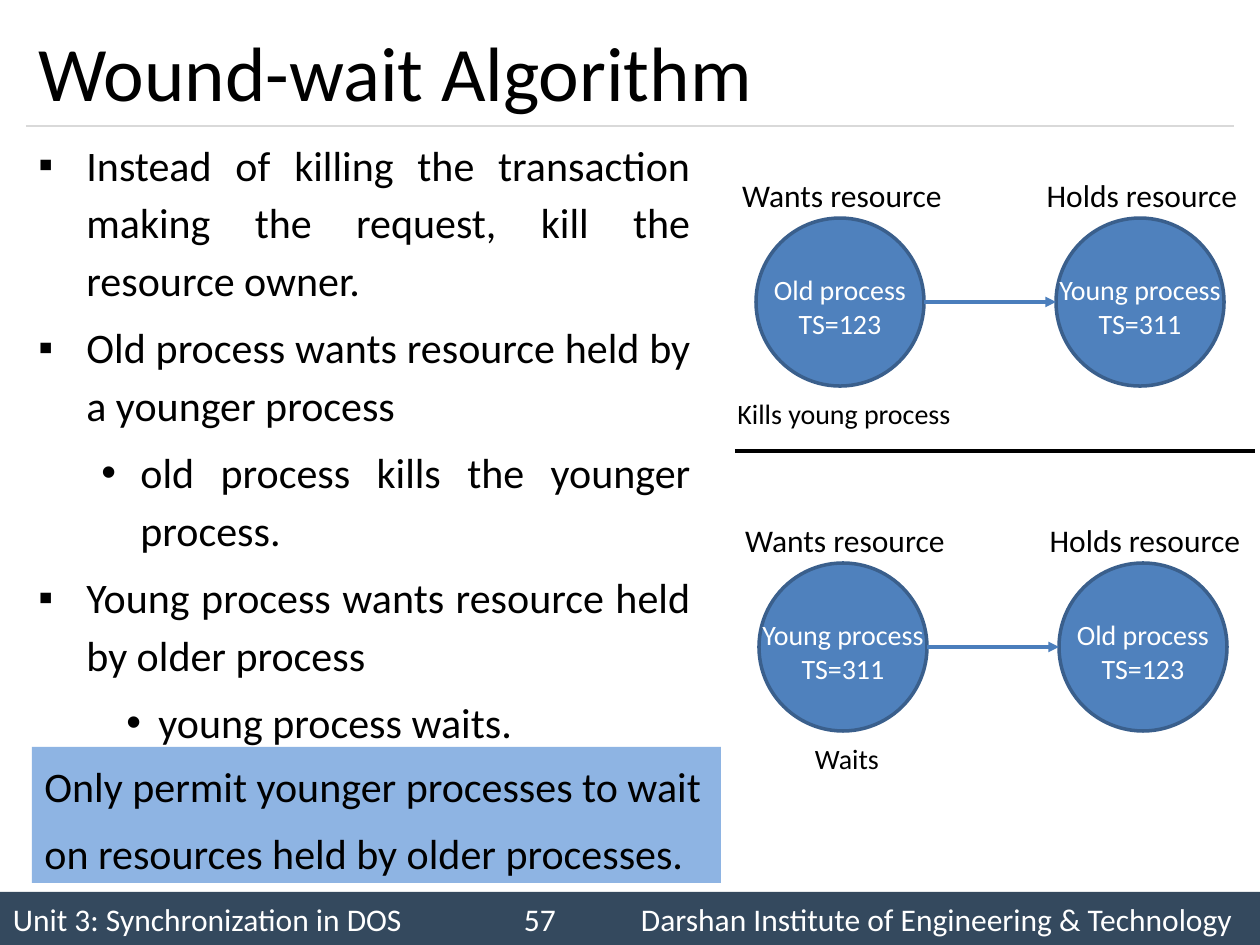
from dataclasses import dataclass

from lxml.etree import SubElement
from pptx import Presentation
from pptx.dml.color import RGBColor
from pptx.enum.shapes import MSO_CONNECTOR, MSO_SHAPE
from pptx.enum.text import MSO_ANCHOR, PP_ALIGN
from pptx.oxml.ns import qn
from pptx.util import Emu, Pt


@dataclass(frozen=True)
class Theme:
    """Colours, font and type sizes of the slide."""
    font: str = "Calibri"
    ink: str = "000000"
    paper: str = "FFFFFF"
    rule: str = "D9D9D9"
    footer: str = "34495E"
    highlight: str = "8EB4E3"
    circle: str = "4F81BD"
    outline: str = "3A5F8C"
    arrow: str = "4B7EBC"
    title_size: int = 44
    body_size: int = 24
    label_size: int = 18
    small_size: int = 16


THEME = Theme()
INSET = 13
POINTS = [
    ("point", "Instead of killing the transaction making the request, kill the resource owner."),
    ("point", "Old process wants resource held by a younger process"),
    ("result", "old process kills the younger process."),
    ("point", "Young process wants resource held by older process"),
    ("outcome", "young process waits."),
]
BULLETS = {"point": ("▪", 48, 48, 0), "result": ("•", 102, 39, 1), "outcome": ("•", 120, 32, 2)}
OLD = ["Old process", "TS=123"]
YOUNG = ["Young process", "TS=311"]


def px(length):
    """Turn pixels into EMU."""
    return Emu(round(length * 914400 / 126))


def colour(code):
    """Turn a hex code into a colour."""
    return RGBColor.from_string(code)


def style(para, size, code=THEME.ink, align=PP_ALIGN.LEFT):
    """Set the font and alignment of a paragraph."""
    para.alignment = align
    para.font.name = THEME.font
    para.font.size = Pt(size)
    para.font.color.rgb = colour(code)


def fill_frame(frame, lines, size, code=THEME.ink, align=PP_ALIGN.LEFT):
    """Write one styled paragraph for each line."""
    for index, line in enumerate(lines):
        para = frame.add_paragraph() if index else frame.paragraphs[0]
        para.text = line
        style(para, size, code, align)


def space(frame):
    """Give running text its line and paragraph spacing."""
    for index, para in enumerate(frame.paragraphs):
        para.line_spacing = 1.14
        para.space_before = Pt(5.8 if index else 0)


def add_shape(page, kind, box, fill, line=None):
    """Add a flat preset shape."""
    shape = page.shapes.add_shape(kind, *map(px, box))
    shape.shadow.inherit = False
    shape.fill.solid()
    shape.fill.fore_color.rgb = colour(fill)
    if line:
        shape.line.color.rgb = colour(line)
        shape.line.width = Pt(2)
    else:
        shape.line.fill.background()
    return shape


def add_line(page, left, right, top, code, width, arrow=False):
    """Add a horizontal line, with an arrowhead if asked."""
    line = page.shapes.add_connector(
        MSO_CONNECTOR.STRAIGHT, px(left), px(top), px(right), px(top))
    line.line.color.rgb = colour(code)
    line.line.width = Pt(width)
    if arrow:
        SubElement(line.line._get_or_add_ln(), qn("a:tailEnd"), type="triangle")
    SubElement(line._element.spPr, qn("a:effectLst"))


def add_label(page, centre, top, text, size):
    """Add a one-line label centred on a point."""
    width = 240
    label = page.shapes.add_textbox(px(centre - width / 2), px(top), px(width), px(50))
    label.text_frame.word_wrap = True
    fill_frame(label.text_frame, [text], size, align=PP_ALIGN.CENTER)


def add_title(page, box, text):
    """Place the title and the rule under it."""
    left, top, width, height = box
    title = page.shapes.title
    title.left, title.top, title.width, title.height = map(px, box)
    title.text_frame.vertical_anchor = MSO_ANCHOR.MIDDLE
    fill_frame(title.text_frame, [text], THEME.title_size)
    add_line(page, left, left + width, top + height, THEME.rule, 0.75)


def add_points(page, box):
    """Place the bulleted explanation."""
    frame = page.shapes.add_textbox(*map(px, box)).text_frame
    frame.word_wrap = True
    for index, (kind, text) in enumerate(POINTS):
        mark, margin, hanging, level = BULLETS[kind]
        para = frame.add_paragraph() if index else frame.paragraphs[0]
        para.text = text
        para.level = level
        properties = para._p.get_or_add_pPr()
        properties.set("marL", str(px(margin)))
        properties.set("indent", str(-px(hanging)))
        SubElement(properties, qn("a:buFont"), typeface="Arial")
        SubElement(properties, qn("a:buChar"), char=mark)
        style(para, THEME.body_size, align=PP_ALIGN.JUSTIFY)
    space(frame)


def add_rule_box(page, box, lines):
    """Place the highlighted conclusion."""
    frame = add_shape(page, MSO_SHAPE.RECTANGLE, box, THEME.highlight).text_frame
    frame.word_wrap = True
    frame.vertical_anchor = MSO_ANCHOR.TOP
    fill_frame(frame, lines, THEME.body_size, align=PP_ALIGN.JUSTIFY)
    space(frame)


def add_process(page, box, lines, role):
    """Place a process circle with its role above."""
    left, top, size, _ = box
    frame = add_shape(page, MSO_SHAPE.OVAL, box, THEME.circle, THEME.outline).text_frame
    frame.word_wrap = False
    frame.vertical_anchor = MSO_ANCHOR.MIDDLE
    frame.margin_left = frame.margin_right = frame.margin_bottom = 0
    frame.margin_top = px(9)
    fill_frame(frame, lines, THEME.small_size, THEME.paper, PP_ALIGN.CENTER)
    add_label(page, left + size / 2 + 2, top - 48, role, THEME.label_size)


def add_scenario(page, box, requester, owner, outcome):
    """Place a requester, an owner, their arrow and the outcome."""
    left, top, width, size = box
    owner_left = left + width - size
    add_process(page, (left, top, size, size), requester, "Wants resource")
    add_process(page, (owner_left, top, size, size), owner, "Holds resource")
    add_line(page, left + size, owner_left, top + size / 2, THEME.arrow, 2, arrow=True)
    add_label(page, left + size / 2 + 4, top + size + 4, outcome, THEME.small_size)


def add_footer(page, box, parts, stops):
    """Place the footer bar with tabbed parts."""
    frame = add_shape(page, MSO_SHAPE.RECTANGLE, box, THEME.footer).text_frame
    frame.margin_left = px(INSET)
    frame.margin_right = 0
    frame.vertical_anchor = MSO_ANCHOR.MIDDLE
    para = frame.paragraphs[0]
    para.text = "\t".join(parts)
    tabs = SubElement(para._p.get_or_add_pPr(), qn("a:tabLst"))
    for stop in stops:
        SubElement(tabs, qn("a:tab"), pos=str(px(stop - INSET)), algn="l")
    style(para, THEME.label_size, THEME.paper)


def main():
    """Build and save the slide."""
    deck = Presentation()
    deck.slide_width, deck.slide_height = px(1260), px(945)
    page = deck.slides.add_slide(deck.slide_layouts[5])
    add_footer(page, (0, 892, 1260, 53),
               ["Unit 3: Synchronization in DOS", "57",
                "Darshan Institute of Engineering & Technology"], [524, 641])
    add_title(page, (26, 15, 1208, 111), "Wound-wait Algorithm")
    add_points(page, (26, 126, 677, 735))
    add_rule_box(page, (32, 747, 689, 136),
                 ["Only permit younger processes to wait",
                  "on resources held by older processes."])
    add_scenario(page, (756, 218, 468, 168), OLD, YOUNG, "Kills young process")
    add_line(page, 735, 1255, 451, THEME.ink, 2)
    add_scenario(page, (759, 563, 468, 168), YOUNG, OLD, "Waits")
    deck.save("out.pptx")


if __name__ == "__main__":
    main()
